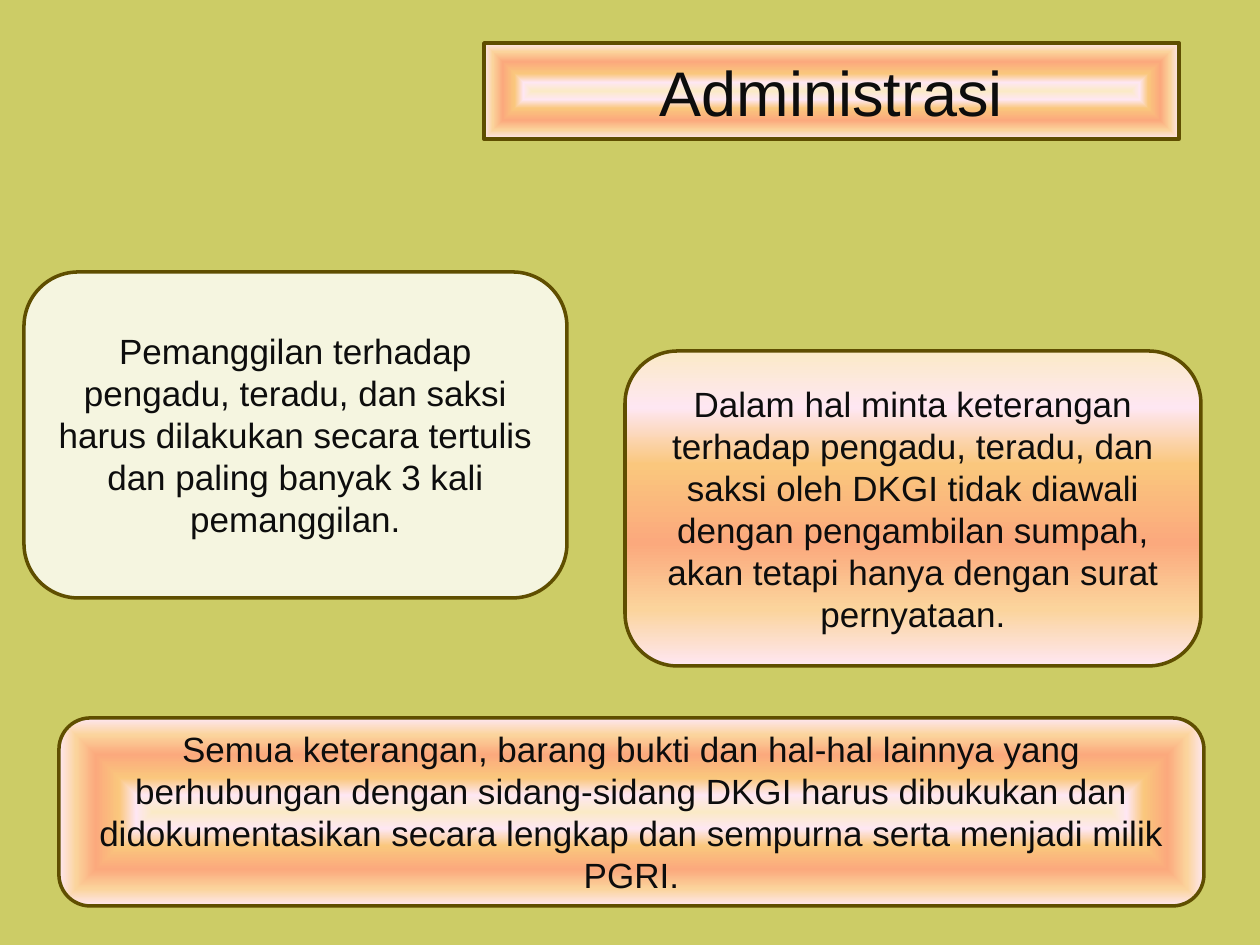
from dataclasses import dataclass
from typing import Optional

from lxml import etree
from pptx import Presentation
from pptx.dml.color import RGBColor
from pptx.enum.shapes import MSO_SHAPE
from pptx.enum.text import MSO_ANCHOR, MSO_AUTO_SIZE, PP_ALIGN
from pptx.oxml.ns import qn
from pptx.shapes.autoshape import Shape
from pptx.slide import Slide
from pptx.util import Emu, Pt

ROUND = MSO_SHAPE.ROUNDED_RECTANGLE
MIDDLE = MSO_ANCHOR.MIDDLE
FIXED = MSO_AUTO_SIZE.NONE
CENTER = PP_ALIGN.CENTER

PX = 914400 / 126
FONT = "Arial"
OLIVE = RGBColor(0xCC, 0xCC, 0x66)
BROWN = RGBColor(0x5F, 0x4E, 0x00)
INK = RGBColor(0x0D, 0x0D, 0x0D)
CREAM = RGBColor(0xF5, 0xF5, 0xE0)
SAND = RGBColor(0xFB, 0xEA, 0xC7)
PINK = RGBColor(0xFE, 0xE7, 0xF2)
AMBER = RGBColor(0xFA, 0xC7, 0x7D)
CORAL = RGBColor(0xFB, 0xA9, 0x7D)
PEACH = RGBColor(0xFB, 0xD4, 0x9C)
STOPS = ((0, SAND), (18, PINK), (36, AMBER), (61, CORAL), (82, PEACH), (100, PINK))


@dataclass(frozen=True)
class Card:
    text: str
    left: int
    top: int
    width: int
    height: int
    color: Optional[RGBColor] = None
    nested: bool = False
    size: int = 20


TITLE = Card("Administrasi", 484, 43, 695, 96, nested=True, size=36)
CARDS = (
    Card(
        "Pemanggilan terhadap pengadu, teradu, dan saksi harus dilakukan "
        "secara tertulis dan paling banyak 3 kali pemanggilan.",
        24, 272, 543, 326, color=CREAM,
    ),
    Card(
        "Dalam hal minta keterangan terhadap pengadu, teradu, dan saksi oleh "
        "DKGI tidak diawali dengan pengambilan sumpah, akan tetapi hanya "
        "dengan surat pernyataan.",
        625, 351, 576, 315,
    ),
    Card(
        "Semua keterangan, barang bukti dan hal-hal lainnya yang berhubungan "
        "dengan sidang-sidang DKGI harus dibukukan dan didokumentasikan "
        "secara lengkap dan sempurna serta menjadi milik PGRI.",
        59, 718, 1145, 188, nested=True,
    ),
)


def px(count: int) -> Emu:
    return Emu(round(count * PX))


def write(shape: Shape, text: str, *, size: int, color: RGBColor = INK) -> None:
    frame = shape.text_frame
    frame.text = text
    frame.word_wrap = True
    frame.auto_size = FIXED
    frame.vertical_anchor = MIDDLE
    line = frame.paragraphs[0]
    line.alignment = CENTER
    font = line.runs[0].font
    font.name = FONT
    font.size = Pt(size)
    font.color.rgb = color


def blend(shape: Shape, nested: bool) -> None:
    shape.fill.gradient()
    grad = shape.element.spPr.find(qn("a:gradFill"))
    grad.clear()
    grad.set("rotWithShape", "1")
    stops = etree.SubElement(grad, qn("a:gsLst"))
    for place, color in STOPS:
        stop = etree.SubElement(stops, qn("a:gs"), pos=str(place * 1000))
        etree.SubElement(stop, qn("a:srgbClr"), val=str(color))
    if nested:
        shade = etree.SubElement(grad, qn("a:path"), path="shape")
        sides = dict.fromkeys("ltrb", "50000")
        etree.SubElement(shade, qn("a:fillToRect"), sides)
    else:
        etree.SubElement(grad, qn("a:lin"), ang="5400000", scaled="0")


def style(shape: Shape, card: Card) -> None:
    shape.left, shape.top = px(card.left), px(card.top)
    shape.width, shape.height = px(card.width), px(card.height)
    if card.color is None:
        blend(shape, card.nested)
    else:
        shape.fill.solid()
        shape.fill.fore_color.rgb = card.color
    shape.line.color.rgb = BROWN
    shape.line.width = Pt(2)
    shape.shadow.inherit = False
    write(shape, card.text, size=card.size)


def draw(slide: Slide, card: Card) -> None:
    box = px(card.left), px(card.top), px(card.width), px(card.height)
    style(slide.shapes.add_shape(ROUND, *box), card)


def main() -> None:
    deck = Presentation()
    deck.slide_width, deck.slide_height = px(1260), px(945)
    slide = deck.slides.add_slide(deck.slide_layouts[5])
    back = slide.background.fill
    back.solid()
    back.fore_color.rgb = OLIVE
    style(slide.shapes.title, TITLE)
    for card in CARDS:
        draw(slide, card)
    deck.save("out.pptx")


if __name__ == "__main__":
    main()
